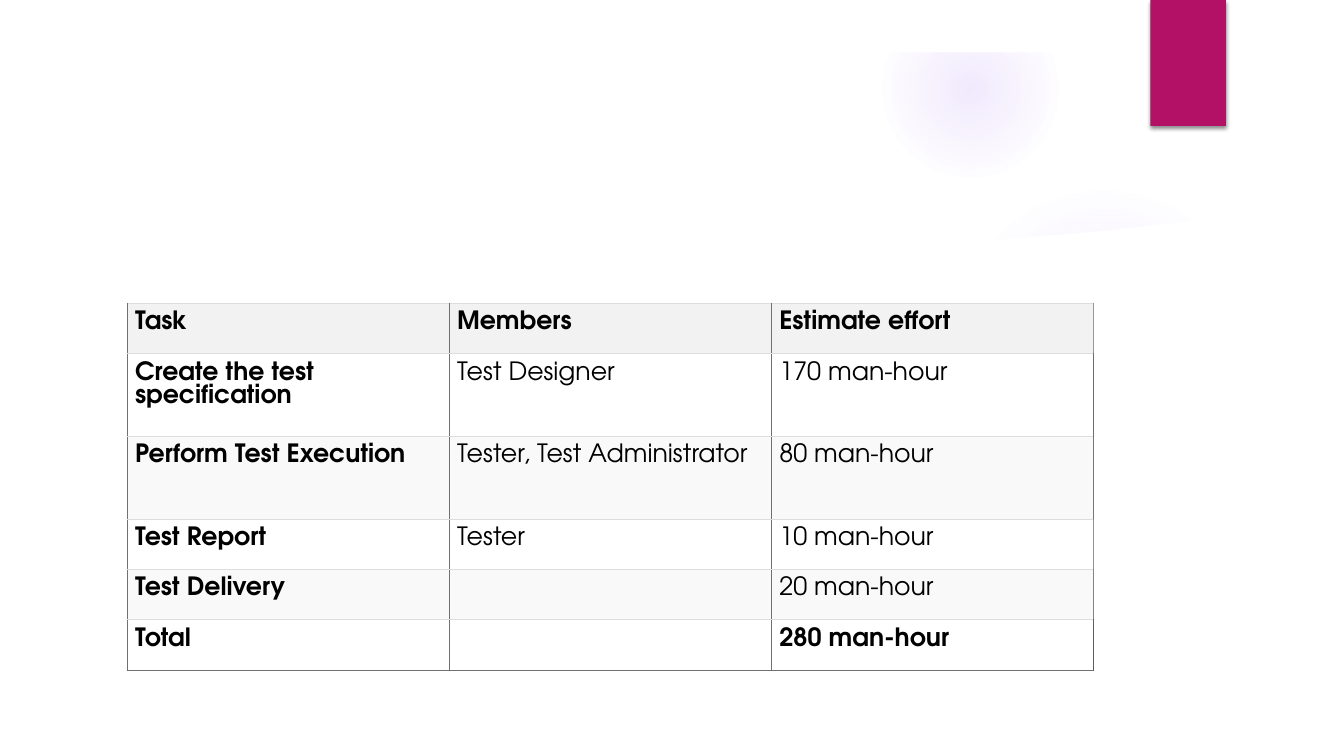
from lxml.etree import SubElement
from pptx import Presentation
from pptx.dml.color import RGBColor
from pptx.enum.shapes import MSO_SHAPE as Shape
from pptx.oxml import parse_xml
from pptx.oxml.ns import nsdecls, qn
from pptx.util import Inches, Pt

ROWS = [
    ("Task", "Members", "Estimate effort"),
    ("Create the test specification", "Test Designer", "170 man-hour"),
    ("Perform Test Execution", "Tester, Test Administrator", "80 man-hour"),
    ("Test Report", "Tester", "10 man-hour"),
    ("Test Delivery", "", "20 man-hour"),
    ("Total", "", "280 man-hour"),
]
ROW_HEIGHTS = [0.5, 0.82, 0.82, 0.5, 0.5, 0.5]
TABLE_LEFT, TABLE_TOP, COLUMN_WIDTH = 1.26, 3.01, 3.195

# left, top, diameter, gradient stops as (position %, opacity %)
GLOWS = [
    (9.41, 1.83, 3.08, [(0, 7), (36, 6), (69, 0)]),
    (8.75, 0.01, 1.75, [(0, 14), (36, 7), (73, 0)]),
]
SHEET = [(0.5, 2.04), (2.16, 2.24), (4.01, 2.38), (5.83, 2.46), (7.34, 2.48),
         (8.67, 2.45), (9.76, 2.39), (10.88, 2.3), (12, 2.17), (12.84, 2.04),
         (12.84, 7), (0.5, 7)]

THEME = {
    "font": "TeX Gyre Adventor", "size": 18, "leading": 16.5,
    "text": "000000", "white": "FFFFFF", "accent": "B31166", "glow": "9B6BF2",
    "header": "F2F2F2", "band": "F9F9F9", "rule": "DDDDDD", "grid": "707070",
    "edges": ["B07AF0", "187FF0", "3082F0", "7891F0", "70A609", "487328"],
}


def paint(sp, color):
    sp.shadow.inherit = False
    sp.line.fill.background()
    sp.fill.solid()
    sp.fill.fore_color.rgb = RGBColor.from_string(color)
    return sp


def add_block(slide, kind, left, top, width, height, color):
    box = map(Inches, (left, top, width, height))
    return paint(slide.shapes.add_shape(kind, *box), color)


def add_glow(slide, left, top, diameter, stops):
    sp = add_block(slide, Shape.OVAL, left, top, diameter, diameter, THEME["glow"])
    stop_xml = "".join(
        f'<a:gs pos="{pos * 1000}"><a:srgbClr val="{THEME["glow"]}">'
        f'<a:alpha val="{alpha * 1000}"/></a:srgbClr></a:gs>'
        for pos, alpha in stops)
    gradient = parse_xml(
        f'<a:gradFill {nsdecls("a")}><a:gsLst>{stop_xml}</a:gsLst>'
        '<a:path path="circle"><a:fillToRect l="50000" t="50000" r="50000" b="50000"/>'
        '</a:path></a:gradFill>')
    solid = sp.element.spPr.find(qn("a:solidFill"))
    solid.getparent().replace(solid, gradient)


def add_sheet(slide):
    points = [(Inches(x), Inches(y)) for x, y in SHEET]
    builder = slide.shapes.build_freeform(*points[0])
    builder.add_line_segments(points[1:], close=True)
    paint(builder.convert_to_shape(), THEME["white"])


def add_tab(slide):
    sp = add_block(slide, Shape.RECTANGLE, 11.41, 0, 0.75, 1.25, THEME["accent"])
    effects = sp.element.spPr.find(qn("a:effectLst"))
    shadow = SubElement(effects, qn("a:outerShdw"), blurRad=str(Pt(3)),
                        dist=str(Pt(2)), dir="5400000", rotWithShape="0")
    color = SubElement(shadow, qn("a:srgbClr"), val="000000")
    SubElement(color, qn("a:alpha"), val="45000")


def write(tf, text, *, bold=False):
    tf.word_wrap = True
    p = tf.paragraphs[0]
    p.line_spacing = Pt(THEME["leading"])
    if not text:
        return
    r = p.add_run()
    r.text = text
    r.font.name, r.font.size, r.font.bold = THEME["font"], Pt(THEME["size"]), bold
    r.font.color.rgb = RGBColor.from_string(THEME["text"])


def set_borders(cell, borders):
    """Borders are (color, points) in the order left, right, top, bottom."""
    tc_pr = cell._tc.get_or_add_tcPr()
    for i, (side, (color, width)) in enumerate(zip("LRTB", borders)):
        tc_pr.insert(i, parse_xml(
            f'<a:ln{side} {nsdecls("a")} w="{Pt(width)}"><a:solidFill>'
            f'<a:srgbClr val="{color}"/></a:solidFill></a:ln{side}>'))


def add_effort_table(slide):
    columns, last = len(ROWS[0]), len(ROWS) - 1
    box = (TABLE_LEFT, TABLE_TOP, COLUMN_WIDTH * columns, sum(ROW_HEIGHTS))
    table = slide.shapes.add_table(len(ROWS), columns, *map(Inches, box)).table
    for column in table.columns:
        column.width = Inches(COLUMN_WIDTH)
    grid, rule = (THEME["grid"], 0.75), (THEME["rule"], 0.75)
    for i, (row, height) in enumerate(zip(ROWS, ROW_HEIGHTS)):
        table.rows[i].height = Inches(height)
        fill = THEME["header"] if i == 0 else THEME["white" if i % 2 else "band"]
        for j, text in enumerate(row):
            cell = table.cell(i, j)
            cell.margin_left = cell.margin_right = Inches(0.08)
            cell.margin_top = cell.margin_bottom = Inches(0.08)
            cell.fill.solid()
            cell.fill.fore_color.rgb = RGBColor.from_string(fill)
            right = (THEME["edges"][i], 1) if j == columns - 1 else grid
            set_borders(cell, (grid, right, rule, grid if i == last else rule))
            write(cell.text_frame, text, bold=j == 0 or i in (0, last))


def main():
    prs = Presentation()
    prs.slide_width, prs.slide_height = Inches(13.33), Inches(7.5)
    slide = prs.slides.add_slide(prs.slide_layouts[6])
    for glow in GLOWS:
        add_glow(slide, *glow)
    add_sheet(slide)
    add_block(slide, Shape.RECTANGLE, 0, 0, 13.33, 0.52, THEME["white"])
    add_tab(slide)
    add_effort_table(slide)
    prs.save("out.pptx")


if __name__ == "__main__":
    main()
